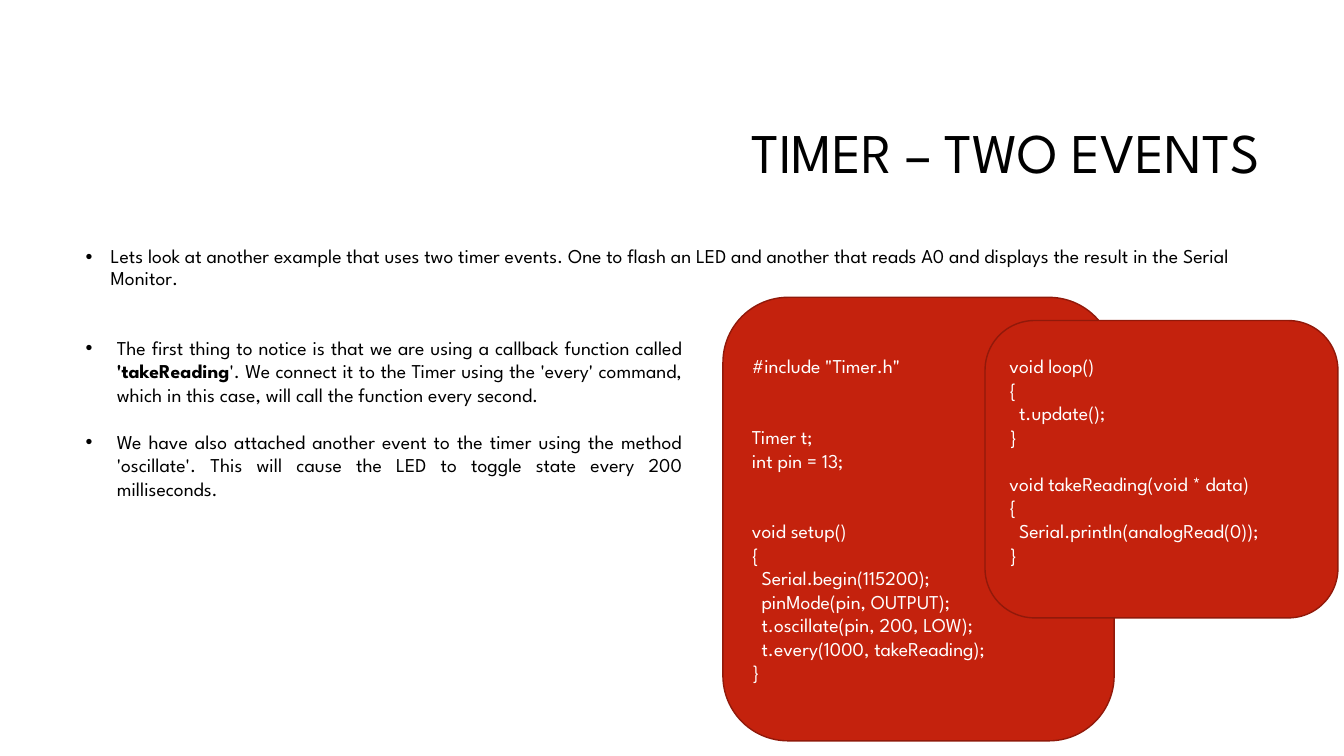
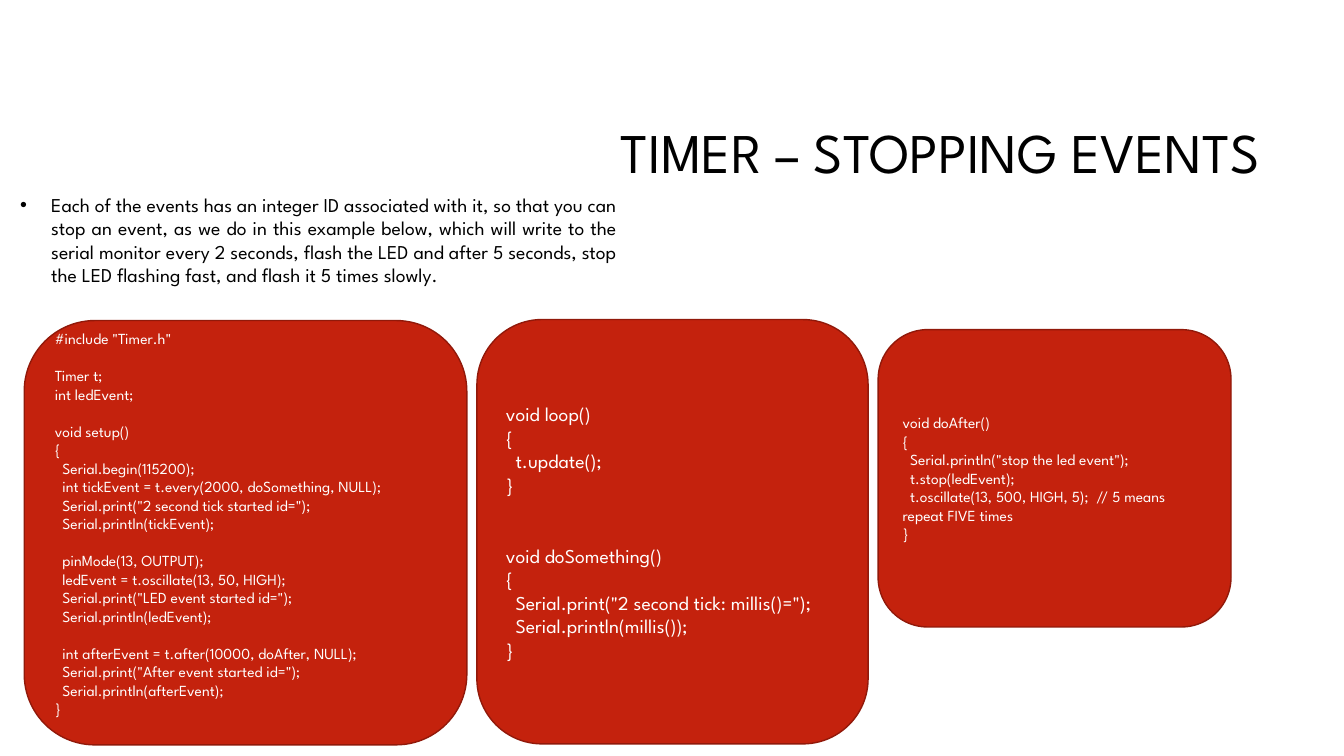
"""Build two slides about running and stopping timer events."""
import pptx
import pptx.dml.color
import pptx.enum.shapes
import pptx.enum.text
import pptx.oxml
import pptx.oxml.ns
import pptx.util

Inches = pptx.util.Inches
Pt = pptx.util.Pt
ALIGN = pptx.enum.text.PP_ALIGN
ANCHOR = pptx.enum.text.MSO_ANCHOR

FONT = "League Spartan"
BLACK, WHITE, RED, DARK_RED = "000000", "FFFFFF", "C4220D", "91190A"
TITLE_BOX = (3.17, 0.84, 9.42, 1.41)
LINE_HEIGHT = 1.2
CODE_INDENT = 0.0068
TRAILING_SPACE = 0.18

INTRO = {"alignment": ALIGN.LEFT, "line_spacing": 0.9}
DETAIL = {"alignment": ALIGN.JUSTIFY, "space_before": Pt(0)}

SETUP_CODE = """#include "Timer.h"


Timer t;
int pin = 13;


void setup()
{
  Serial.begin(115200);
  pinMode(pin, OUTPUT);
  t.oscillate(pin, 200, LOW);
  t.every(1000, takeReading);
}"""

READING_CODE = """void loop()
{
  t.update();
}

void takeReading(void * data)
{
  Serial.println(analogRead(0));
}"""

EVENTS_CODE = """#include "Timer.h"

Timer t;
int ledEvent;

void setup()
{
  Serial.begin(115200);
  int tickEvent = t.every(2000, doSomething, NULL);
  Serial.print("2 second tick started id=");
  Serial.println(tickEvent);

  pinMode(13, OUTPUT);
  ledEvent = t.oscillate(13, 50, HIGH);
  Serial.print("LED event started id=");
  Serial.println(ledEvent);

  int afterEvent = t.after(10000, doAfter, NULL);
  Serial.print("After event started id=");
  Serial.println(afterEvent);
}"""

TICK_CODE = """void loop()
{
  t.update();
}


void doSomething()
{
  Serial.print("2 second tick: millis()=");
  Serial.println(millis());
}"""

AFTER_CODE = """void doAfter()
{
  Serial.println("stop the led event");
  t.stop(ledEvent);
  t.oscillate(13, 500, HIGH, 5);  // 5 means repeat FIVE times
}"""

SLIDES = [
    {
        "title": "TIMER – TWO EVENTS",
        "bullets": [
            ((0.75, 2.4, 11.83, 0.55), 0.25, INTRO, [
                "Lets look at another example that uses two timer events. One to flash an LED "
                "and another that reads A0 and displays the result in the Serial Monitor.",
            ]),
            ((0.75, 3.28, 6.12, 1.99), 0.31, DETAIL, [
                "The first thing to notice is that we are using a callback function called "
                "**'takeReading**'. We connect it to the Timer using the 'every' command, "
                "which in this case, will call the function every second.",
                "We have also attached another event to the timer using the method 'oscillate'. "
                "This will cause the LED to toggle state every 200 milliseconds.",
            ]),
        ],
        "panels": [
            ((7.17, 2.95, 3.88, 4.4), 14, 0, SETUP_CODE),
            ((9.77, 3.18, 3.5, 2.95), 14, TRAILING_SPACE, READING_CODE),
        ],
    },
    {
        "title": "TIMER – STOPPING EVENTS",
        "bullets": [
            ((0.1, 1.86, 6.12, 1.28), 0.31, DETAIL, [
                "Each of the events has an integer ID associated with it, so that you can stop "
                "an event, as we do in this example below, which will write to the serial "
                "monitor every 2 seconds, flash the LED and after 5 seconds, stop the LED "
                "flashing fast, and flash it 5 times slowly.",
            ]),
        ],
        "panels": [
            ((0.24, 3.18, 4.39, 4.21), 11, TRAILING_SPACE, EVENTS_CODE),
            ((4.73, 3.17, 3.88, 4.21), 14, 0, TICK_CODE),
            ((8.71, 3.27, 3.5, 2.95), 11, 0, AFTER_CODE),
        ],
    },
]


def rgb(colour):
    return pptx.dml.color.RGBColor.from_string(colour)


def add_paragraph(frame, first, text, size, colour, layout):
    paragraph = frame.paragraphs[0] if first else frame.add_paragraph()
    for name, value in layout.items():
        setattr(paragraph, name, value)
    for number, part in enumerate(text.split("**")):
        run = paragraph.add_run()
        run.text = part
        for name, value in {"name": FONT, "size": Pt(size), "bold": number % 2 == 1}.items():
            setattr(run.font, name, value)
        run.font.color.rgb = rgb(colour)
    return paragraph


deck = pptx.Presentation()
deck.slide_width, deck.slide_height = Inches(13.33), Inches(7.5)

for content in SLIDES:
    slide = deck.slides.add_slide(deck.slide_layouts[6])

    title = slide.shapes.add_textbox(*map(Inches, TITLE_BOX)).text_frame
    title.word_wrap = True
    title.vertical_anchor = ANCHOR.MIDDLE
    add_paragraph(title, True, content["title"], 40, BLACK,
                  {"alignment": ALIGN.RIGHT, "line_spacing": 0.9})

    for box, hanging, layout, points in content["bullets"]:
        explanation = slide.shapes.add_textbox(*map(Inches, box)).text_frame
        explanation.word_wrap = True
        for index, point in enumerate(points):
            spacing = {"space_before": Pt(14 * LINE_HEIGHT if index else 0)}
            paragraph = add_paragraph(explanation, index == 0, point, 14, BLACK, layout | spacing)
            properties = paragraph._p.get_or_add_pPr()
            properties.set("marL", str(Inches(hanging)))
            properties.set("indent", str(-Inches(hanging)))
            for tag, key, value in (("a:buFont", "typeface", "Arial"), ("a:buChar", "char", "•")):
                bullet = pptx.oxml.xmlchemy.OxmlElement(tag)
                bullet.set(key, value)
                properties.append(bullet)

    for box, size, space_below, code in content["panels"]:
        panel = slide.shapes.add_shape(
            pptx.enum.shapes.MSO_SHAPE.ROUNDED_RECTANGLE, *map(Inches, box))
        panel.shadow.inherit = False
        panel.fill.solid()
        panel.fill.fore_color.rgb = rgb(RED)
        panel.line.color.rgb = rgb(DARK_RED)
        panel.line.width = Pt(1)
        listing = panel.text_frame
        listing.word_wrap = True
        listing.vertical_anchor = ANCHOR.MIDDLE
        listing.margin_bottom = Inches(0.05 + space_below)
        skipped = 0
        for index, line in enumerate(code.splitlines()):
            if not line:
                skipped += 1
                continue
            layout = {"alignment": ALIGN.LEFT, "space_before": Pt(skipped * size * LINE_HEIGHT)}
            paragraph = add_paragraph(listing, index == 0, line.strip(), size, WHITE, layout)
            if line.startswith(" "):
                paragraph._p.get_or_add_pPr().set("indent", str(Inches(size * CODE_INDENT)))
            skipped = 0

deck.save("out.pptx")
